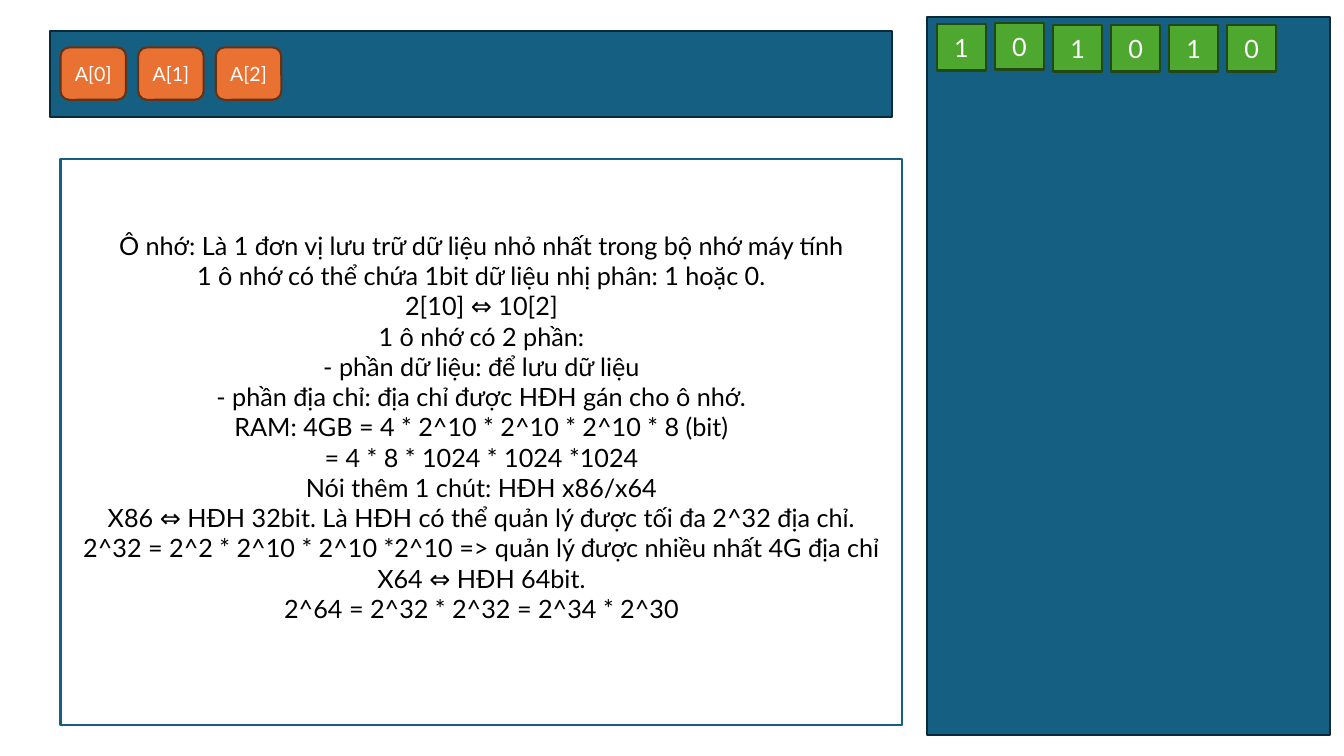
from pptx import Presentation
from pptx.dml.color import RGBColor
from pptx.enum.shapes import MSO_SHAPE
from pptx.enum.text import MSO_ANCHOR, PP_ALIGN
from pptx.util import Pt

RECT = MSO_SHAPE.RECTANGLE
ROUNDED = MSO_SHAPE.ROUNDED_RECTANGLE
MIDDLE = MSO_ANCHOR.MIDDLE
CENTER = PP_ALIGN.CENTER

EMU_PER_PX = 9144  # 100 px to the inch
SLIDE_SIZE = (1333, 750)
FONT = "Lato"
BLANK_LAYOUT = 6

# Each palette is fill, line, text
PANEL_COLORS = ("156082", "092A39", "FFFFFF")
ARRAY_COLORS = ("E97132", "663216", "FFFFFF")
BIT_COLORS = ("4EA72E", "224914", "FFFFFF")
NOTES_COLORS = ("FFFFFF", "156082", "000000")

ARRAY_PANEL = (50, 31, 835, 85)
MEMORY_PANEL = (919, 17, 400, 712)
NOTES_BOX = (60, 158, 835, 561)
NOTES_BOTTOM_INSET = 35

ARRAY_ITEMS = ["A[0]", "A[1]", "A[2]"]
ARRAY_FIRST = (60, 47, 65, 52)
ARRAY_PITCH = 77

# Bit value and top of its cell
BITS = [("1", 24), ("0", 23), ("1", 25), ("0", 25), ("1", 25), ("0", 25)]
BIT_LEFT, BIT_WIDTH, BIT_HEIGHT = 929, 49, 46
BIT_PITCH = 57.6

# One tuple per paragraph, one string per line
NOTES = [
    ("Ô nhớ: Là 1 đơn vị lưu trữ dữ liệu nhỏ nhất trong bộ nhớ máy tính",),
    ("1 ô nhớ có thể chứa 1bit dữ liệu nhị phân: 1 hoặc 0.",),
    ("2[10] ⇔ 10[2]",),
    ("1 ô nhớ có 2 phần:",
     "- phần dữ liệu: để lưu dữ liệu",
     "- phần địa chỉ: địa chỉ được HĐH gán cho ô nhớ."),
    ("RAM: 4GB = 4 * 2^10 * 2^10 * 2^10 * 8 (bit)",),
    ("= 4 * 8 * 1024 * 1024 *1024",),
    ("Nói thêm 1 chút: HĐH x86/x64",),
    ("X86 ⇔ HĐH 32bit. Là HĐH có thể quản lý được tối đa 2^32 địa chỉ.",),
    ("2^32 = 2^2 * 2^10 * 2^10 *2^10 => quản lý được nhiều nhất 4G địa chỉ",),
    ("X64 ⇔ HĐH 64bit.",),
    ("2^64 = 2^32 * 2^32 = 2^34 * 2^30",),
]


def px(length):
    return round(length * EMU_PER_PX)


def color(hex_code):
    return RGBColor.from_string(hex_code)


def add_box(slide, kind, bounds, colors, paragraphs=(), size=18):
    """Add an outlined box; each paragraph is a sequence of lines."""
    fill, line, text_color = colors
    box = slide.shapes.add_shape(kind, *map(px, bounds))
    box.shadow.inherit = False
    box.fill.solid()
    box.fill.fore_color.rgb = color(fill)
    box.line.color.rgb = color(line)
    box.line.width = Pt(1.5)
    frame = box.text_frame
    frame.word_wrap = True
    frame.vertical_anchor = MIDDLE
    for index, lines in enumerate(paragraphs):
        paragraph = frame.add_paragraph() if index else frame.paragraphs[0]
        paragraph.alignment = CENTER
        for number, line_text in enumerate(lines):
            if number:
                paragraph.add_line_break()
            run = paragraph.add_run()
            run.text = line_text
            run.font.name = FONT
            run.font.size = Pt(size)
            run.font.color.rgb = color(text_color)
    return box


def main():
    prs = Presentation()
    prs.slide_width, prs.slide_height = map(px, SLIDE_SIZE)
    slide = prs.slides.add_slide(prs.slide_layouts[BLANK_LAYOUT])

    add_box(slide, RECT, ARRAY_PANEL, PANEL_COLORS)
    left, top, width, height = ARRAY_FIRST
    for index, item in enumerate(ARRAY_ITEMS):
        bounds = (left + index * ARRAY_PITCH, top, width, height)
        add_box(slide, ROUNDED, bounds, ARRAY_COLORS, [(item,)], size=14)

    add_box(slide, RECT, MEMORY_PANEL, PANEL_COLORS)
    for index, (bit, bit_top) in enumerate(BITS):
        bounds = (BIT_LEFT + index * BIT_PITCH, bit_top, BIT_WIDTH, BIT_HEIGHT)
        add_box(slide, RECT, bounds, BIT_COLORS, [(bit,)])

    notes = add_box(slide, RECT, NOTES_BOX, NOTES_COLORS, NOTES)
    notes.text_frame.margin_bottom = px(NOTES_BOTTOM_INSET)

    prs.save("out.pptx")


if __name__ == "__main__":
    main()
